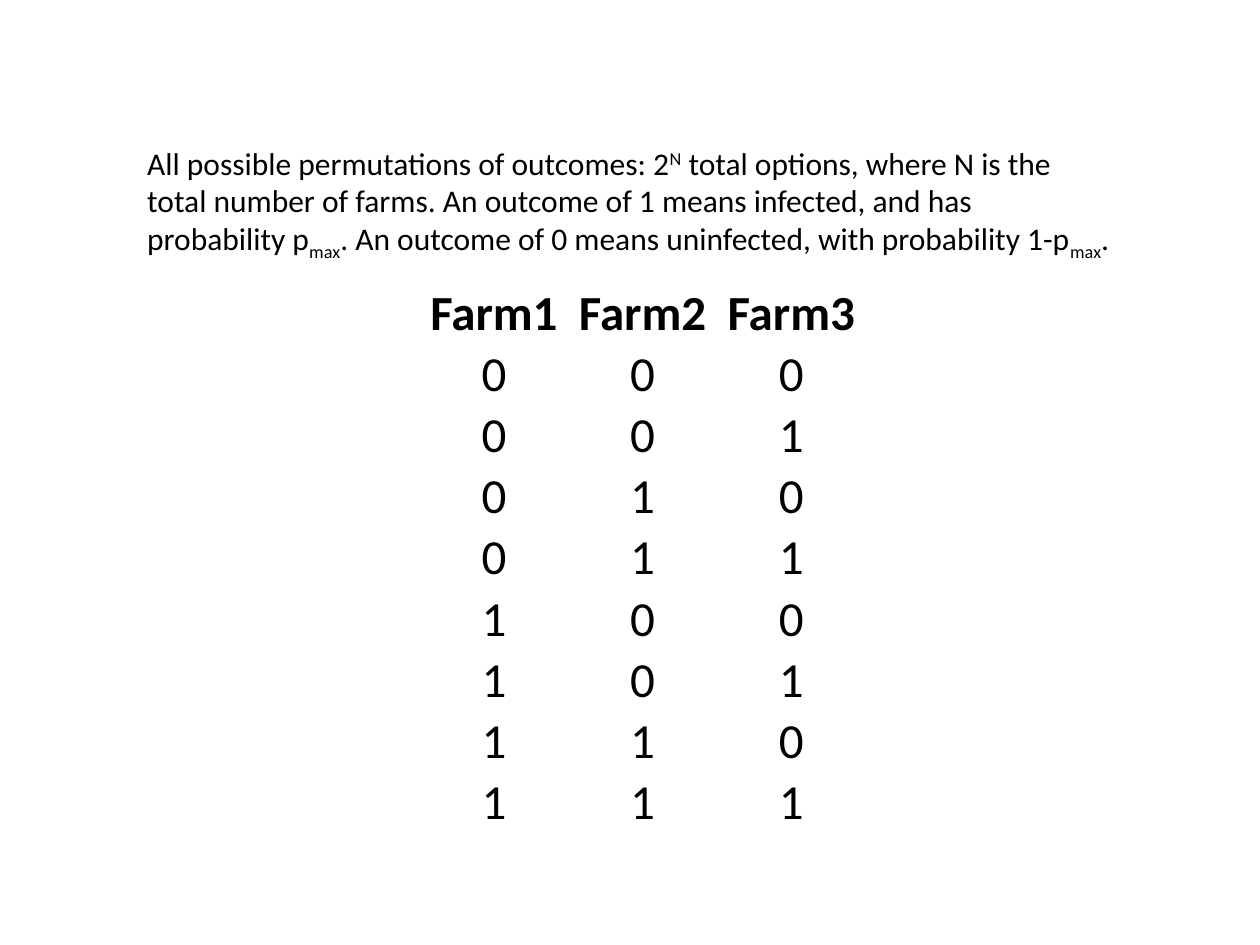
"""Build a slide listing every infection outcome for three farms."""
from dataclasses import dataclass
from itertools import product

from pptx import Presentation
from pptx.dml.color import RGBColor
from pptx.enum.text import MSO_ANCHOR, MSO_AUTO_SIZE, PP_ALIGN
from pptx.util import Inches, Pt

COLORS = {"text": "000000"}
FONT = "Calibri"
FARMS = 3


@dataclass
class Piece:
    text: str
    baseline: int = 0


INTRO = [
    Piece("All possible permutations of outcomes: 2"),
    Piece("N", 30),
    Piece(" total options, where N is the total number of farms. "
          "An outcome of 1 means infected, and has probability p"),
    Piece("max", -25),
    Piece(". An outcome of 0 means uninfected, with probability 1-p"),
    Piece("max", -25),
    Piece("."),
]


def style_font(font, size: int, bold: bool = False) -> None:
    font.name = FONT
    font.size = Pt(size)
    font.bold = bold
    font.color.rgb = RGBColor.from_string(COLORS["text"])


def add_intro(s, pieces: list[Piece]) -> None:
    sp = s.shapes.add_textbox(Inches(1.07), Inches(1.09), Inches(7.85), Inches(1.31))
    tf = sp.text_frame
    tf.word_wrap = True
    tf.auto_size = MSO_AUTO_SIZE.SHAPE_TO_FIT_TEXT
    p = tf.paragraphs[0]
    for piece in pieces:
        r = p.add_run()
        r.text = piece.text
        style_font(r.font, 18)
        if piece.baseline:
            r._r.get_or_add_rPr().set("baseline", str(piece.baseline * 1000))


def fill_cell(cell, text: str, bold: bool) -> None:
    cell.fill.background()
    cell.vertical_anchor = MSO_ANCHOR.BOTTOM
    cell.margin_left = cell.margin_right = cell.margin_top = Inches(0.01)
    cell.margin_bottom = 0
    p = cell.text_frame.paragraphs[0]
    p.text = text
    p.alignment = PP_ALIGN.CENTER
    style_font(p.runs[0].font, 28, bold)


def add_outcomes(s, farms: int) -> None:
    rows = [[f"Farm{i + 1}" for i in range(farms)], *product("01", repeat=farms)]
    table = s.shapes.add_table(
        len(rows), farms, Inches(3.33), Inches(2.24),
        Inches(1.18 * farms), Inches(0.48 * len(rows))).table
    table.first_row = table.horz_banding = False
    for i, row in enumerate(rows):
        for j, text in enumerate(row):
            fill_cell(table.cell(i, j), text, bold=i == 0)


def main() -> None:
    prs = Presentation()
    prs.slide_width, prs.slide_height = Inches(10), Inches(7.5)
    s = prs.slides.add_slide(prs.slide_layouts[6])
    add_outcomes(s, FARMS)
    add_intro(s, INTRO)
    prs.save("out.pptx")


if __name__ == "__main__":
    main()
